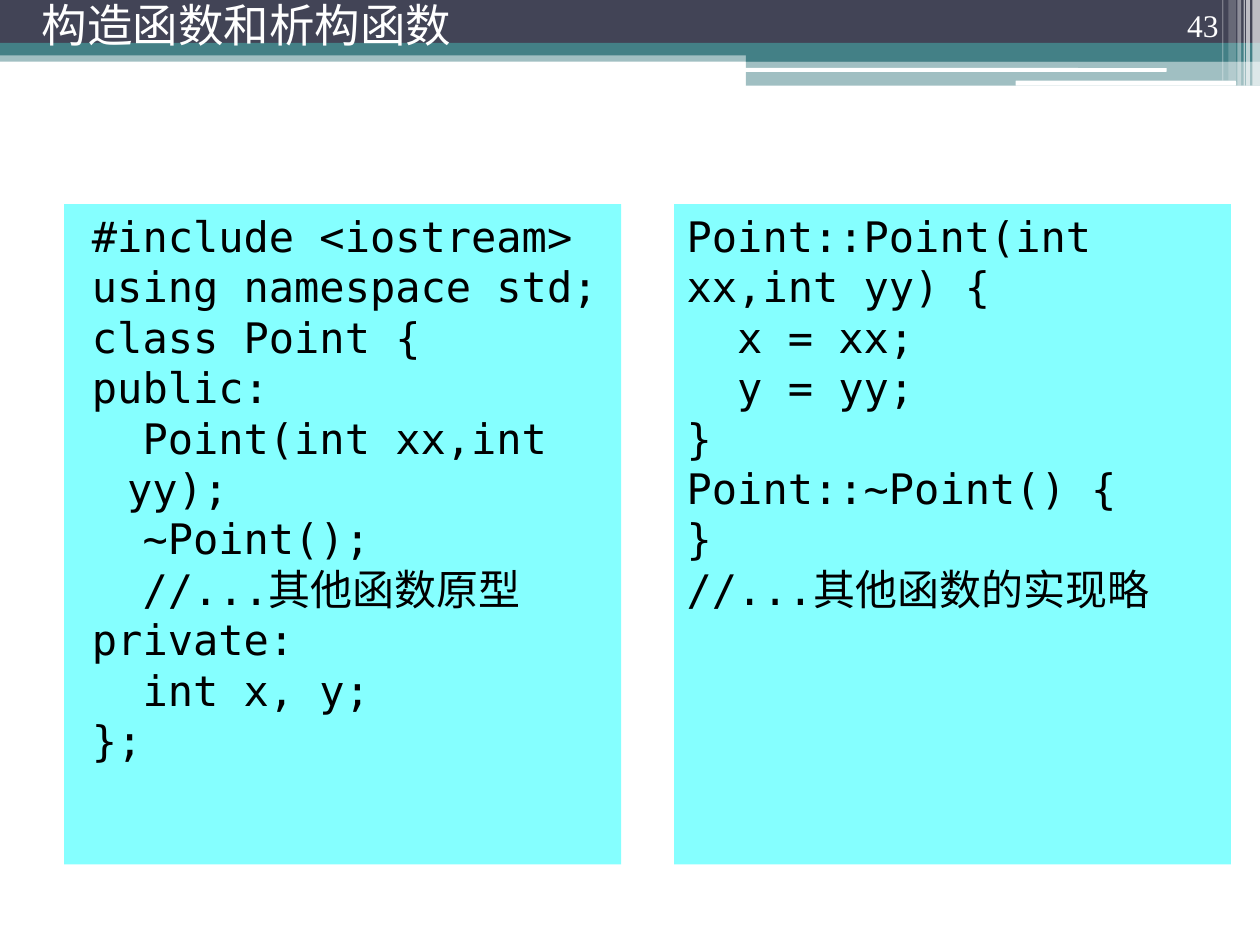
from dataclasses import dataclass

from lxml import etree
from pptx import Presentation
from pptx.dml.color import RGBColor
from pptx.enum import shapes, text
from pptx.oxml import ns
from pptx.util import Inches, Pt


@dataclass(frozen=True)
class Theme:
    """Colours, fonts and type sizes of the slide."""
    dark: str = "424456"
    teal: str = "438086"
    white: str = "FFFFFF"
    black: str = "000000"
    aqua: str = "85FFFF"
    code: str = "DejaVu Sans Mono"
    head: str = "Lato"
    num: str = "Times New Roman"
    code_pt: int = 24
    head_pt: int = 26
    num_pt: int = 18


THEME = Theme()
KIND = shapes.MSO_SHAPE
ANCHOR = text.MSO_ANCHOR

HEADER = """#include <iostream>
using namespace std;
class Point {
public:
  Point(int xx,int yy);
  ~Point();
  //...其他函数原型
private:
  int x, y;
};"""

BODY = """Point::Point(int xx,int yy) {
  x = xx;
  y = yy;
}
Point::~Point() {
}
//...其他函数的实现略"""


def place(item, box):
    """Move an item to a box given in inches."""
    item.left, item.top, item.width, item.height = map(Inches, box)


def write(item, words, font, size, color, align=text.PP_ALIGN.LEFT,
          anchor=ANCHOR.TOP, left=0, first=0, line=1.0):
    """Fill an item with one formatted paragraph for each line of words."""
    frame = item.text_frame
    frame.word_wrap = True
    frame.auto_size = text.MSO_AUTO_SIZE.NONE
    frame.vertical_anchor = anchor
    frame.margin_left = frame.margin_right = Inches(0.1)
    frame.margin_top = frame.margin_bottom = Inches(0.05)
    frame.text = words
    for para in frame.paragraphs:
        prop = para._p.get_or_add_pPr()
        prop.set("marL", str(Inches(left)))
        prop.set("indent", str(Inches(first)))
        etree.SubElement(prop, ns.qn("a:buNone"))
        para.alignment = align
        para.line_spacing = line
        para.space_before = para.space_after = Pt(0)
        for run in para.runs:
            run.font.name = font
            run.font.size = Pt(size)
            run.font.color.rgb = RGBColor.from_string(color)


def paint(item, color, alpha=100):
    """Give an item a plain fill with an opacity in percent."""
    item.fill.solid()
    item.fill.fore_color.rgb = RGBColor.from_string(color)
    if alpha < 100:
        tone = item.fill._xPr.find(".//" + ns.qn("a:srgbClr"))
        etree.SubElement(tone, ns.qn("a:alpha"), val=str(alpha * 1000))


def bar(slide, box, color, alpha=100, kind=KIND.RECTANGLE):
    """Draw one bar without outline."""
    item = slide.shapes.add_shape(kind, *map(Inches, box))
    item.shadow.inherit = False
    item.line.fill.background()
    paint(item, color, alpha)


def banner(slide, box):
    """Draw the bands, tabs and glass stripes along the top."""
    left, top, width, height = box
    right = left + width
    for y, tall, color, alpha in ((0.4, 0.09, THEME.teal, 50),
                                  (0, 0.34, THEME.dark, 100),
                                  (0.34, 0.1, THEME.teal, 100)):
        bar(slide, (left, top + y, width, tall), color, alpha)
    tab = 4.08
    bar(slide, (right - tab, top + 0.39, tab, 0.1), THEME.teal)
    bar(slide, (right - tab, top + 0.48, tab, 0.2), THEME.teal, 50)
    for x, y, wide, tall in ((5.91, 0.54, 3.35, 0.03),
                             (8.06, 0.64, 1.75, 0.04)):
        bar(slide, (left + x, top + y, wide, tall), THEME.white,
            kind=KIND.ROUNDED_RECTANGLE)
    for gap, wide, cut, alpha in ((0.06, 0.06, 0, 65), (0.11, 0.03, 0, 65),
                                  (0.13, 0.01, 0, 60), (0.18, 0.03, 0, 40),
                                  (0.25, 0.06, 0.04, 20),
                                  (0.3, 0.01, 0.04, 30)):
        bar(slide, (right - gap, top, wide, height - cut), THEME.white, alpha)


def title(slide, box, words):
    """Set the title in front of the banner."""
    item = slide.shapes.title
    slide.shapes.element.append(item.element)
    place(item, box)
    write(item, words, THEME.head, THEME.head_pt, THEME.white,
          anchor=ANCHOR.MIDDLE, line=0.8)


def number(slide, box, words):
    """Set the page number."""
    item = slide.shapes.add_textbox(*map(Inches, box))
    write(item, words, THEME.num, THEME.num_pt, THEME.white,
          align=text.PP_ALIGN.RIGHT, anchor=ANCHOR.BOTTOM)


def panel(item, box, words, **form):
    """Turn a body placeholder into a coloured code panel."""
    place(item, box)
    paint(item, THEME.aqua)
    write(item, words, THEME.code, THEME.code_pt, THEME.black, **form)


def main():
    """Build and save the slide."""
    deck = Presentation()
    deck.slide_width, deck.slide_height = Inches(10), Inches(7.5)
    slide = deck.slides.add_slide(deck.slide_layouts.get_by_name("Two Content"))
    banner(slide, (0, 0, 10, 0.68))
    panel(slide.placeholders[1], (0.51, 1.62, 4.42, 5.24), HEADER,
          left=0.4, first=-0.28)
    panel(slide.placeholders[2], (5.35, 1.62, 4.42, 5.24), BODY)
    number(slide, (8.94, 0, 0.83, 0.4), "43")
    title(slide, (0.23, 0, 8.44, 0.47), "构造函数和析构函数")
    deck.save("out.pptx")


if __name__ == "__main__":
    main()
